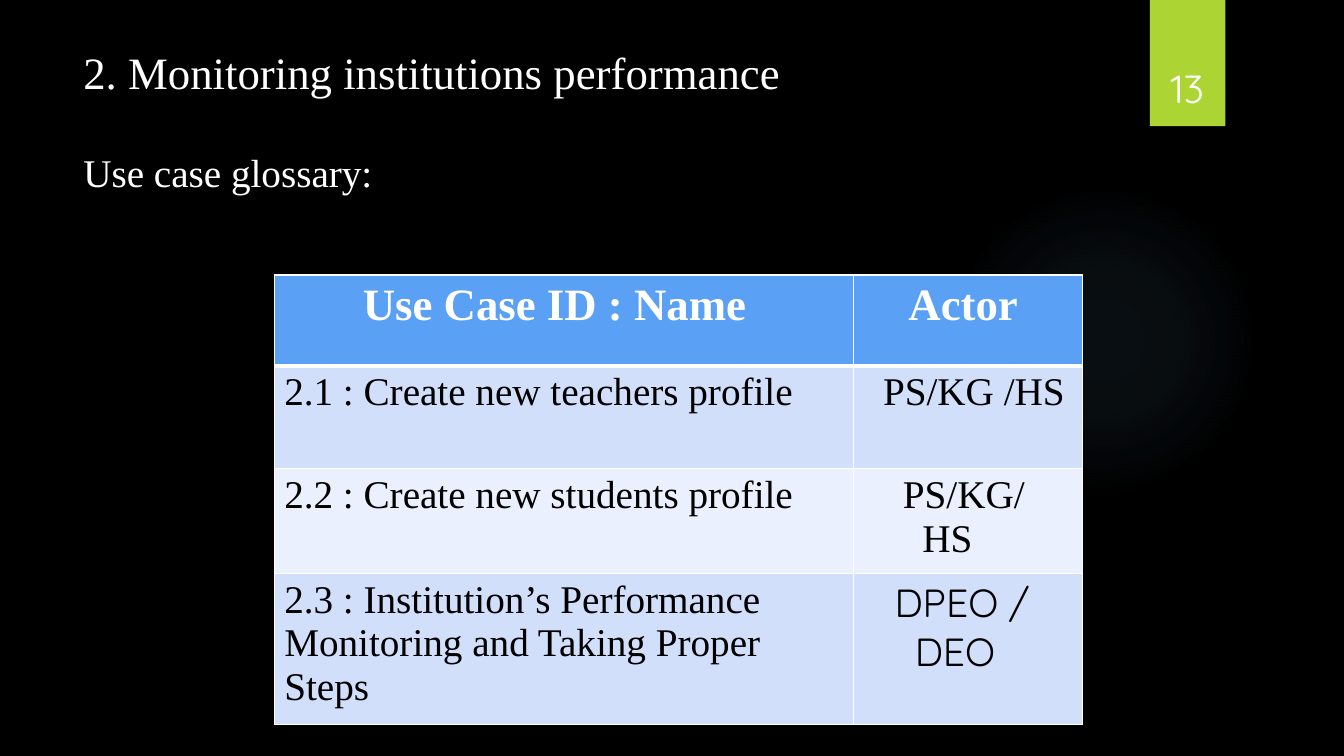
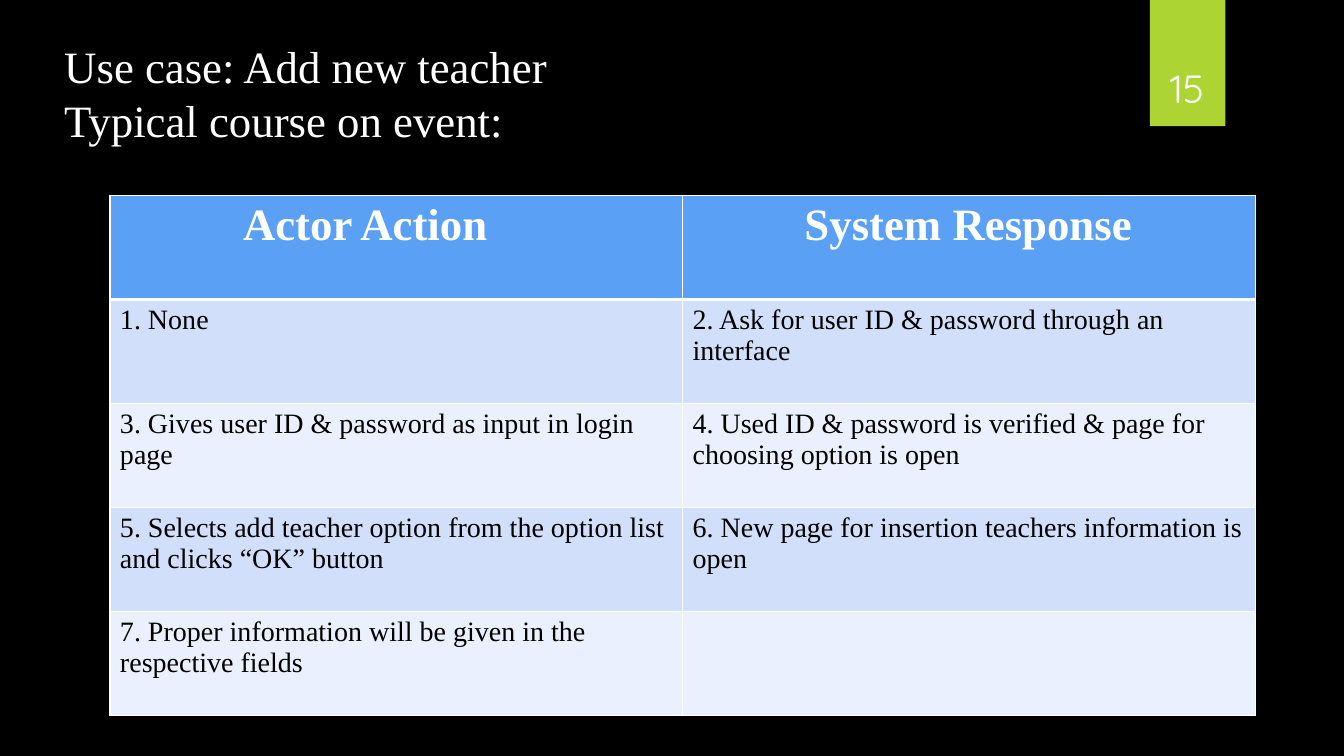
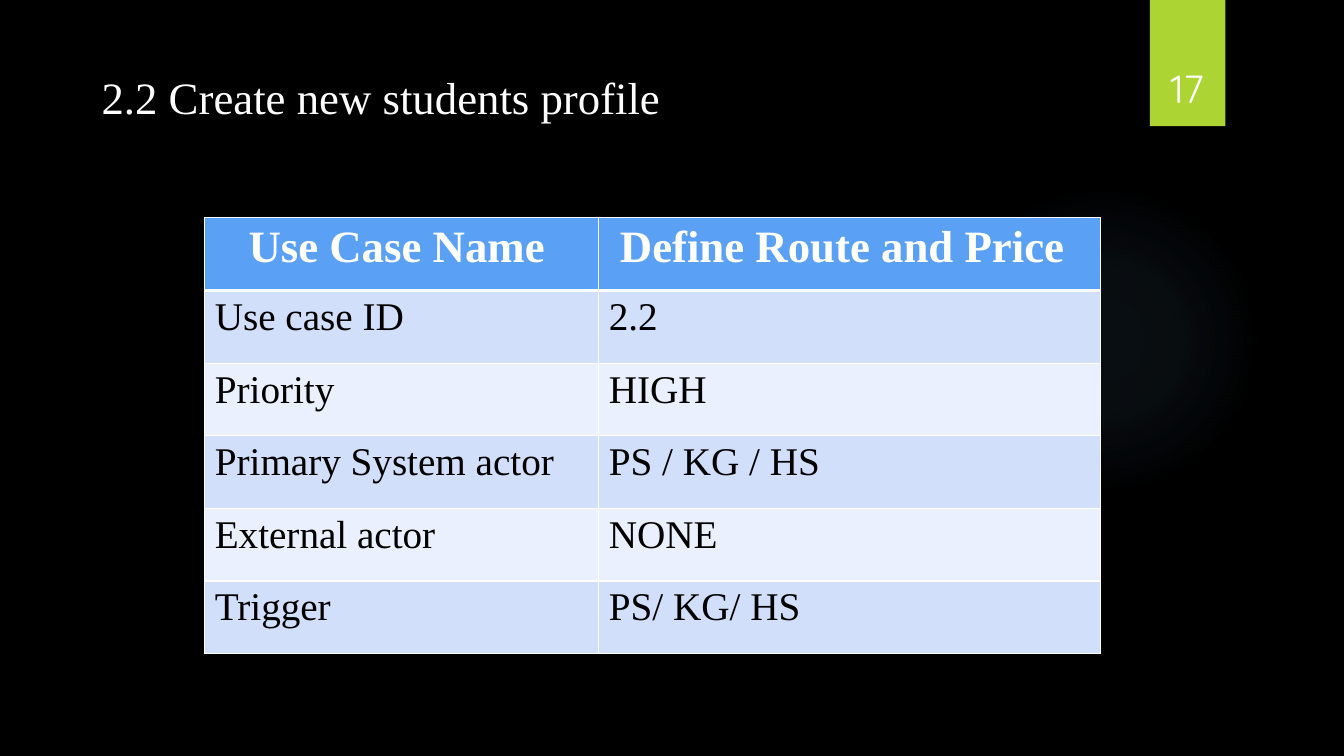
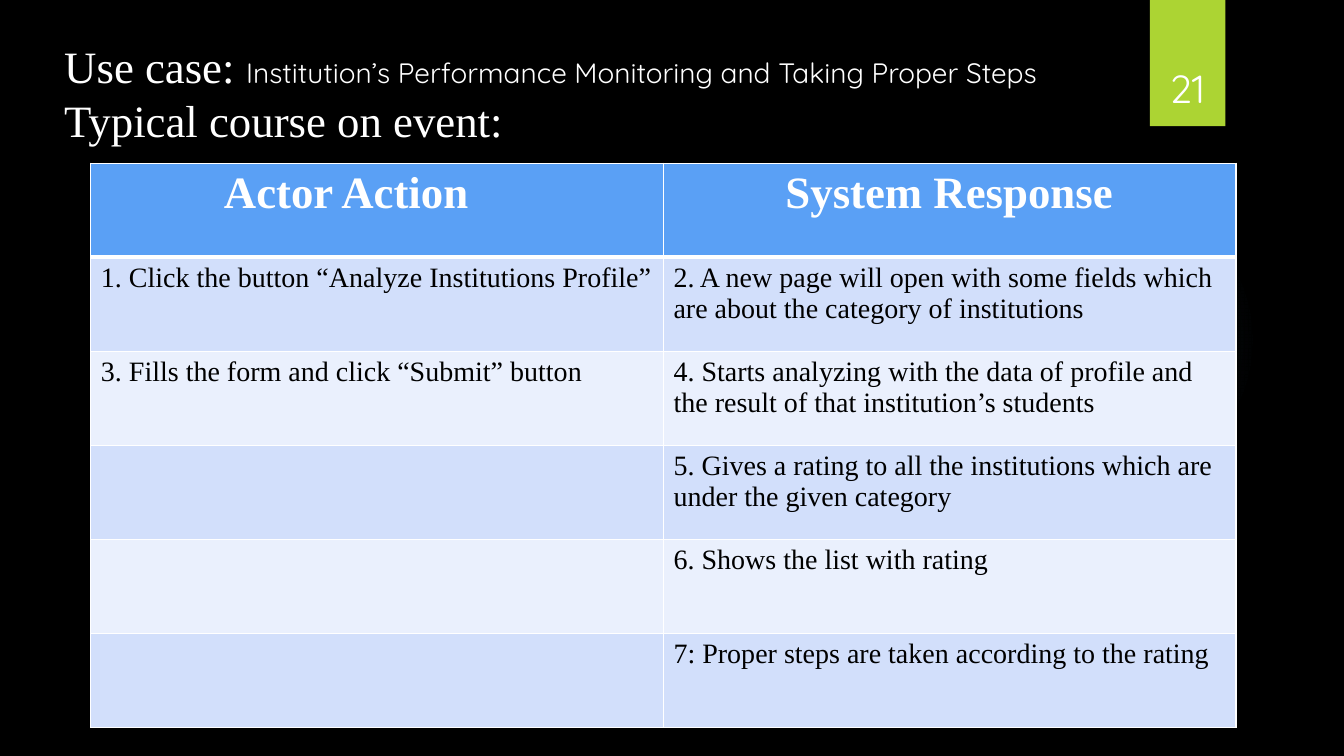
from dataclasses import dataclass

from pptx import Presentation
from pptx.dml.color import RGBColor
from pptx.enum.shapes import MSO_SHAPE
from pptx.enum.text import MSO_ANCHOR, MSO_AUTO_SIZE, PP_ALIGN
from pptx.oxml import parse_xml
from pptx.oxml.ns import nsdecls
from pptx.util import Cm, Pt

BLACK = RGBColor(0x00, 0x00, 0x00)
WHITE = RGBColor(0xFF, 0xFF, 0xFF)
GREEN = RGBColor(0xAC, 0xD4, 0x33)
GLOW = RGBColor(0x7A, 0xC4, 0xF0)
HEADER = RGBColor(0x5A, 0xA0, 0xF5)
BANDS = (RGBColor(0xEA, 0xF0, 0xFD), RGBColor(0xD2, 0xDF, 0xFB))

SERIF = "Times New Roman"
SANS = "Quicksand"
TITLE_SIZE = 32
BODY_SIZE = 28
SMALL_SIZE = 20


@dataclass
class Line:
    text: str
    indent: float = 0
    font: str = SERIF


@dataclass
class Span:
    text: str
    size: int = TITLE_SIZE
    font: str = SERIF


def format_run(r, font, size, color, bold=False):
    r.font.name = font
    r.font.size = Pt(size)
    r.font.color.rgb = color
    r.font.bold = bold


def add_plain_shape(s, kind, left, top, width, height):
    sp = s.shapes.add_shape(kind, Cm(left), Cm(top), Cm(width), Cm(height))
    sp.shadow.inherit = False
    sp.line.fill.background()
    return sp


def fill_with_glow(sp):
    stops = "".join(
        f'<a:gs pos="{pos}000"><a:srgbClr val="{GLOW}">'
        f'<a:alpha val="{alpha}000"/></a:srgbClr></a:gs>'
        for pos, alpha in ((0, 7), (36, 6), (69, 0))
    )
    gradient = parse_xml(
        f'<a:gradFill {nsdecls("a")} rotWithShape="1"><a:gsLst>{stops}</a:gsLst>'
        '<a:path path="circle"><a:fillToRect l="50000" t="50000" r="50000" b="50000"/>'
        "</a:path></a:gradFill>"
    )
    sp.element.spPr.insert(2, gradient)


def decorate_layout(layout, s):
    glow = add_plain_shape(s, MSO_SHAPE.OVAL, 23.9, 4.65, 7.82, 7.82)
    fill_with_glow(glow)
    band = add_plain_shape(s, MSO_SHAPE.RECTANGLE, 28.98, 0, 1.9, 3.18)
    band.fill.solid()
    band.fill.fore_color.rgb = GREEN
    for sp in (glow, band):
        layout.shapes.element.append(sp.element)


def add_textbox(s, left, top, width, height):
    tf = s.shapes.add_textbox(Cm(left), Cm(top), Cm(width), Cm(height)).text_frame
    tf.word_wrap = True
    return tf


def add_title(s, box, paragraphs, gap=0):
    tf = add_textbox(s, *box)
    tf.auto_size = MSO_AUTO_SIZE.SHAPE_TO_FIT_TEXT
    for i, spans in enumerate(paragraphs):
        p = tf.add_paragraph() if i else tf.paragraphs[0]
        if i:
            p.space_before = Pt(gap)
        for span in spans:
            r = p.add_run()
            r.text = span.text
            format_run(r, span.font, span.size, WHITE)


def add_number(s, number):
    tf = add_textbox(s, 28.75, 0.81, 2.34, 2.13)
    tf.vertical_anchor = MSO_ANCHOR.BOTTOM
    tf.text = str(number)
    p = tf.paragraphs[0]
    p.alignment = PP_ALIGN.CENTER
    format_run(p.runs[0], SANS, BODY_SIZE, WHITE)


def set_borders(cell, row):
    widths = {"L": 1, "R": 1, "T": 3 if row == 1 else 1, "B": 1 if row else 3}
    tc_pr = cell._tc.get_or_add_tcPr()
    for side, width in widths.items():
        tc_pr.append(parse_xml(
            f'<a:ln{side} {nsdecls("a")} w="{Pt(width)}"><a:solidFill>'
            f'<a:srgbClr val="{WHITE}"/></a:solidFill></a:ln{side}>'
        ))


def fill_cell(cell, content, row, body_size):
    set_borders(cell, row)
    cell.fill.solid()
    cell.fill.fore_color.rgb = BANDS[row % 2] if row else HEADER
    size, color = (body_size, BLACK) if row else (TITLE_SIZE, WHITE)
    lines = content if isinstance(content, list) else [content]
    lines = [Line(line) if isinstance(line, str) else line for line in lines]
    cell.text_frame.text = "\n".join(line.text for line in lines)
    for p, line in zip(cell.text_frame.paragraphs, lines):
        if line.indent:
            p._p.get_or_add_pPr().set("marL", str(Cm(line.indent)))
        for r in p.runs:
            format_run(r, line.font, size, color, bold=row == 0)


def add_grid(s, left, top, widths, heights, rows, body_size=BODY_SIZE):
    table = s.shapes.add_table(
        len(heights), len(widths), Cm(left), Cm(top), Cm(sum(widths)), Cm(sum(heights))
    ).table
    for column, width in zip(table.columns, widths):
        column.width = Cm(width)
    for i, (height, contents) in enumerate(zip(heights, rows)):
        table.rows[i].height = Cm(height)
        for j, content in enumerate(contents):
            fill_cell(table.cell(i, j), content, i, body_size)


def add_course(s, subject, left, top, row_height, steps):
    add_title(s, (1.37, 0.86, 26.16, 3), [subject, [Span("Typical course on event:")]])
    header = (Line("Actor Action", 3.1), Line("System Response", 2.82))
    rows = [header, *steps]
    add_grid(s, left, top, [14.43] * 2, [row_height] * len(rows), rows, SMALL_SIZE)


def glossary_slide(s):
    add_title(
        s, (1.85, 0.99, 25.02, 4.01),
        [[Span("2. Monitoring institutions performance")],
         [Span("Use case glossary:", BODY_SIZE)]],
        gap=36,
    )
    add_grid(s, 6.91, 6.93, [14.6, 5.77], [2.29, 2.59, 2.64, 3.78], [
        (Line("Use Case ID : Name", 1.98), Line("Actor", 1.13)),
        ("2.1 : Create new teachers profile", Line("PS/KG /HS", 0.49)),
        ("2.2 : Create new students profile", [Line("PS/KG/", 0.99), Line("HS", 1.48)]),
        ("2.3 : Institution’s Performance Monitoring and Taking Proper Steps",
         [Line("DPEO /", 0.78, SANS), Line("DEO", 1.29, SANS)]),
    ])


def teacher_slide(s):
    add_course(s, [Span("Use case: Add new teacher")], 2.77, 4.93, 2.62, [
        ("1. None", "2. Ask for user ID & password through an interface"),
        ("3. Gives user ID & password as input in login page",
         "4. Used ID & password is verified & page for choosing option is open"),
        ("5. Selects add teacher option from the option list and clicks “OK” button",
         "6. New page for insertion teachers information is open"),
        ("7. Proper information will be given in the respective fields", ""),
    ])


def student_slide(s):
    add_title(s, (2.31, 1.63, 24.54, 1.63), [[Span("2.2 Create new students profile")]])
    rows = [
        (Line("Use Case Name", 0.85), Line("Define Route and Price", 0.28)),
        ("Use case ID", "2.2"),
        ("Priority", "HIGH"),
        ("Primary System actor", "PS / KG / HS"),
        ("External actor", "NONE"),
        ("Trigger", "PS/ KG/ HS"),
    ]
    add_grid(s, 5.16, 5.49, [9.93, 12.65], [1.83] * len(rows), rows)


def monitoring_slide(s):
    subject = [
        Span("Use case: "),
        Span("Institution’s Performance Monitoring and Taking Proper Steps", SMALL_SIZE, SANS),
    ]
    add_course(s, subject, 2.29, 4.11, 2.37, [
        ("1. Click the button “Analyze Institutions Profile”",
         "2. A new page will open with some fields which are about the category of institutions"),
        ("3. Fills the form and click “Submit” button",
         "4. Starts analyzing with the data of profile and the result of that "
         "institution’s students"),
        ("", "5. Gives a rating to all the institutions which are under the given category"),
        ("", "6. Shows the list with rating"),
        ("", "7: Proper steps are taken according to the rating"),
    ])


def main():
    prs = Presentation()
    prs.slide_width, prs.slide_height = Cm(33.87), Cm(19.05)
    background = prs.slide_master.background.fill
    background.solid()
    background.fore_color.rgb = BLACK
    blank = prs.slide_layouts[6]
    pages = {13: glossary_slide, 15: teacher_slide, 17: student_slide, 21: monitoring_slide}
    for number, build in pages.items():
        s = prs.slides.add_slide(blank)
        if len(prs.slides) == 1:
            decorate_layout(blank, s)
        build(s)
        add_number(s, number)
    prs.save("out.pptx")


main()
